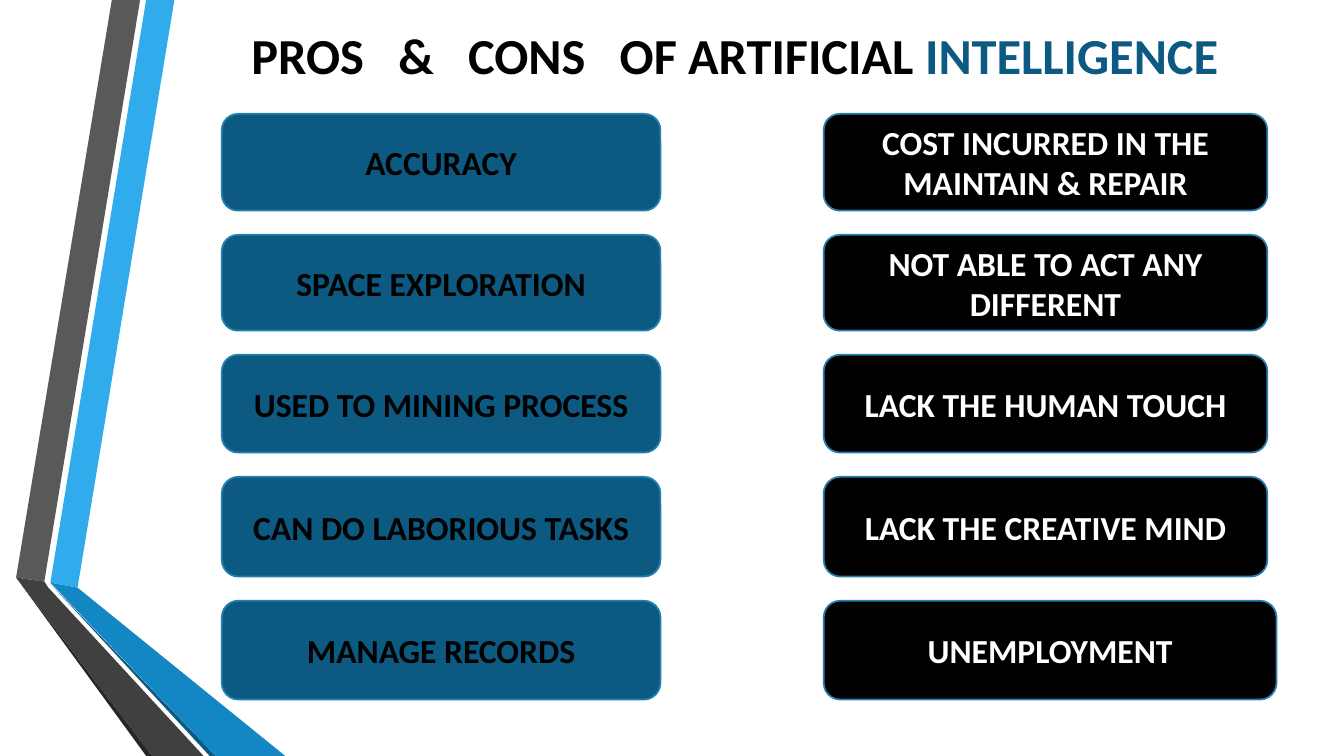
from pptx import Presentation
from pptx import util as u
from pptx.dml.color import RGBColor
from pptx.enum import shapes, text

BLACK = RGBColor(0x00, 0x00, 0x00)
WHITE = RGBColor(0xFF, 0xFF, 0xFF)
DEEP_BLUE = RGBColor(0x0C, 0x5A, 0x82)
EDGE_BLUE = RGBColor(0x24, 0x7F, 0xAF)
SKY_BLUE = RGBColor(0x30, 0xAC, 0xEC)
MID_BLUE = RGBColor(0x12, 0x87, 0xC3)
GREY = RGBColor(0x59, 0x59, 0x59)
DARK_GREY = RGBColor(0x40, 0x40, 0x40)
NEAR_BLACK = RGBColor(0x26, 0x26, 0x26)

RIBBON_BANDS = [
    (SKY_BLUE, [(0.5, 5.78), (0.77, 5.83), (1.73, 0), (1.45, 0)]),
    (GREY, [(1.39, 0), (1.11, 0), (0.16, 5.73), (0.44, 5.77)]),
    (NEAR_BLACK, [(0.16, 5.73), (1.45, 7.5), (1.51, 7.5)]),
    (DEEP_BLUE, [(0.5, 5.79), (2.08, 7.5), (2.14, 7.5)]),
    (MID_BLUE, [(0.5, 5.78), (2.14, 7.5), (2.83, 7.5), (0.77, 5.83)]),
    (DARK_GREY, [(2.02, 7.5), (0.48, 5.83), (0.44, 5.77), (0.16, 5.73), (1.51, 7.5)]),
]

TITLE_RUNS = [
    ("PROS", BLACK, 0), (" ", BLACK, 16.3),
    ("&", BLACK, 0), (" ", BLACK, 16.3),
    ("CONS", BLACK, 0), (" ", BLACK, 16.3),
    ("OF ARTIFICIAL ", BLACK, 0), ("INTELLIGENCE", DEEP_BLUE, 0),
]

PROS = ["ACCURACY", "SPACE EXPLORATION", "USED TO MINING PROCESS",
        "CAN DO LABORIOUS TASKS", "MANAGE RECORDS"]
CONS = ["COST INCURRED IN THE MAINTAIN & REPAIR", "NOT ABLE TO ACT ANY DIFFERENT",
        "LACK THE HUMAN TOUCH", "LACK THE CREATIVE MIND", "UNEMPLOYMENT"]
ROW_HEIGHTS = [0.96, 0.95, 0.97, 0.99, 0.98]
ROW_GAP = 0.24


def apply_format(target, values):
    for name, value in values.items():
        setattr(target, name, value)


def add_styled_run(paragraph, content, size, color):
    run = paragraph.add_run()
    run.text = content
    apply_format(run.font, {"name": "Calibri", "size": u.Pt(size), "bold": True})
    run.font.color.rgb = color
    return run


def add_ribbon(slide, left, top):
    for color, points in RIBBON_BANDS:
        corners = [(u.Inches(left + x), u.Inches(top + y)) for x, y in points]
        builder = slide.shapes.build_freeform(*corners[0])
        builder.add_line_segments(corners[1:], close=True)
        band = builder.convert_to_shape()
        band.shadow.inherit = False
        band.fill.solid()
        band.fill.fore_color.rgb = color
        band.line.fill.background()


def add_title(slide, left, top, width, height):
    title = slide.shapes.title
    apply_format(title, {"left": u.Inches(left), "top": u.Inches(top),
                         "width": u.Inches(width), "height": u.Inches(height)})
    apply_format(title.text_frame, {"word_wrap": True,
                                    "vertical_anchor": text.MSO_ANCHOR.MIDDLE,
                                    "auto_size": text.MSO_AUTO_SIZE.NONE})
    paragraph = title.text_frame.paragraphs[0]
    paragraph.alignment = text.PP_ALIGN.CENTER
    for content, color, spacing in TITLE_RUNS:
        run = add_styled_run(paragraph, content, 36, color)
        if spacing:
            run.font._element.set("spc", str(round(spacing * 100)))


def add_column(slide, left, top, widths, labels, fill, color):
    for label, width, height in zip(labels, widths, ROW_HEIGHTS):
        card = slide.shapes.add_shape(
            shapes.MSO_SHAPE.ROUNDED_RECTANGLE,
            u.Inches(left), u.Inches(top), u.Inches(width), u.Inches(height))
        card.shadow.inherit = False
        card.fill.solid()
        card.fill.fore_color.rgb = fill
        card.line.color.rgb = EDGE_BLUE
        card.line.width = u.Pt(1.25)
        apply_format(card.text_frame, {"word_wrap": True,
                                       "vertical_anchor": text.MSO_ANCHOR.MIDDLE})
        paragraph = card.text_frame.paragraphs[0]
        paragraph.alignment = text.PP_ALIGN.CENTER
        add_styled_run(paragraph, label, 24, color)
        top += height + ROW_GAP


def main():
    presentation = Presentation()
    apply_format(presentation, {"slide_width": u.Inches(13.33),
                                "slide_height": u.Inches(7.5)})
    slide = presentation.slides.add_slide(presentation.slide_layouts[5])
    add_ribbon(slide, 0, 0)
    add_title(slide, 1.81, -0.07, 10.96, 1.21)
    add_column(slide, 2.2, 1.13, [4.35] * 5, PROS, DEEP_BLUE, BLACK)
    add_column(slide, 8.17, 1.13, [4.4] * 4 + [4.49], CONS, BLACK, WHITE)
    presentation.save("out.pptx")


if __name__ == "__main__":
    main()
